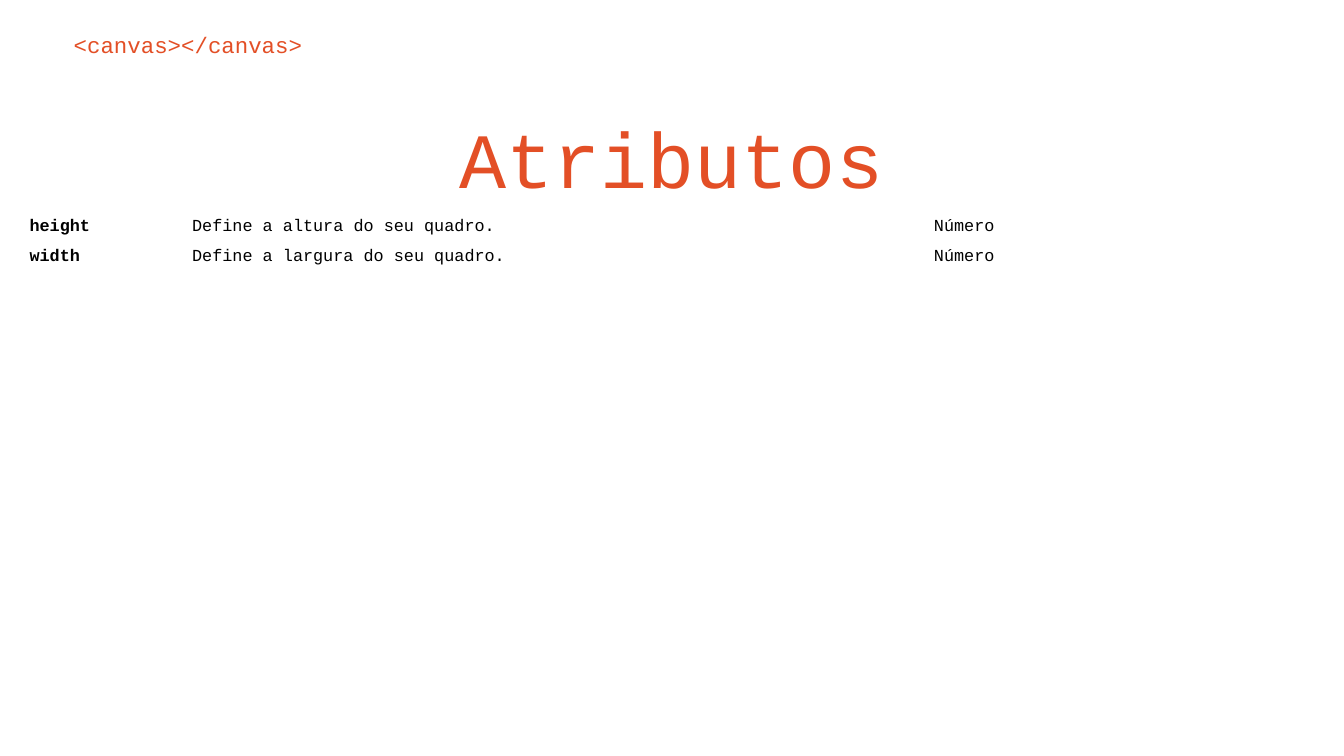
from pptx import Presentation
from pptx.dml.color import RGBColor
from pptx.enum.text import MSO_ANCHOR, MSO_AUTO_SIZE, PP_ALIGN
from pptx.util import Inches, Pt

TAG = "<canvas></canvas>"
TITLE = "Atributos"
ATTRIBUTES = [
    ("height", "Define a altura do seu quadro.", "Número"),
    ("width", "Define a largura do seu quadro.", "Número"),
]
COLUMN_WIDTHS = [1.21, 5.52, 2.79]
ROW_HEIGHT = 0.2
ORANGE, BLACK = "E34F26", "000000"
MARGINS = ("margin_left", "margin_top", "margin_right", "margin_bottom")


def set_margins(target, inches):
    for margin in MARGINS:
        setattr(target, margin, Inches(inches))


def write(paragraph, text, size, color, bold=False):
    run = paragraph.add_run()
    run.text = text
    formats = {"name": "Courier New", "size": Pt(size), "bold": bold}
    for name, value in formats.items():
        setattr(run.font, name, value)
    run.font.color.rgb = RGBColor.from_string(color)


def fill_heading(shape, box, text, size, alignment):
    shape.left, shape.top, shape.width, shape.height = map(Inches, box)
    frame = shape.text_frame
    frame.word_wrap = True
    frame.auto_size = MSO_AUTO_SIZE.NONE
    frame.vertical_anchor = MSO_ANCHOR.TOP
    set_margins(frame, 0.1)
    paragraph = frame.paragraphs[0]
    paragraph.alignment = alignment
    paragraph.line_spacing = 1.0
    paragraph.space_before = Pt(0)
    write(paragraph, text, size, ORANGE)


def add_attribute_table(slide, left, top):
    table = slide.shapes.add_table(
        len(ATTRIBUTES), len(COLUMN_WIDTHS), Inches(left), Inches(top),
        Inches(sum(COLUMN_WIDTHS)), Inches(ROW_HEIGHT * len(ATTRIBUTES))).table
    table.first_row = table.horz_banding = False
    for column, width in zip(table.columns, COLUMN_WIDTHS):
        column.width = Inches(width)
    for row, values in zip(table.rows, ATTRIBUTES):
        row.height = Inches(ROW_HEIGHT)
        for index, (cell, value) in enumerate(zip(row.cells, values)):
            cell.fill.background()
            set_margins(cell, 0.04)
            write(cell.text_frame.paragraphs[0], value, 9, BLACK, bold=index == 0)


def main():
    presentation = Presentation()
    presentation.slide_width = Inches(10)
    presentation.slide_height = presentation.slide_width * 9 // 16
    slide = presentation.slides.add_slide(presentation.slide_layouts[5])
    tag_box = slide.shapes.add_textbox(0, 0, 0, 0)
    fill_heading(tag_box, (0.45, 0.13, 9.18, 0.42), TAG, 12, PP_ALIGN.LEFT)
    fill_heading(slide.shapes.title, (0.71, 0.72, 8.57, 0.86), TITLE, 42, PP_ALIGN.CENTER)
    add_attribute_table(slide, 0.18, 1.58)
    presentation.save("out.pptx")


if __name__ == "__main__":
    main()
